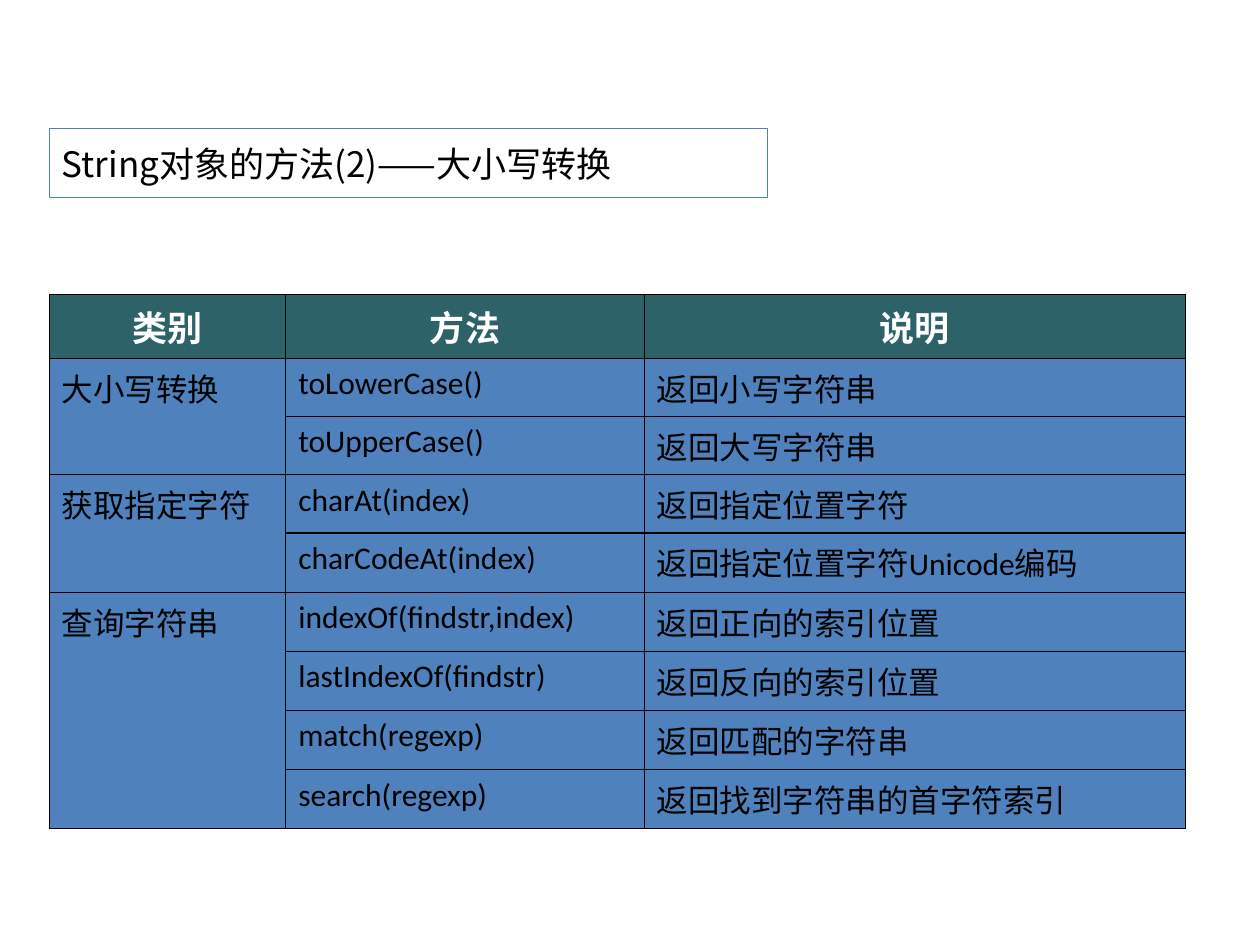
import pptx
import pptx.dml.color
import pptx.enum.text
import pptx.oxml
import pptx.oxml.ns
import pptx.util
from pptx.util import Inches

CJK = "Noto Sans CJK SC"
LATIN = "Calibri"
BLUE = "4F81BD"
TEAL = "2D6269"
BLACK = "000000"
WHITE = "FFFFFF"

COLUMNS = [1.88, 2.85, 4.3]
ROWS = [0.5] + [0.46] * 3 + [0.47] * 5
HEADERS = ["类别", "方法", "说明"]
GROUPS = [
    ("大小写转换", [
        ("toLowerCase()", ["返回小写字符串"]),
        ("toUpperCase()", ["返回大写字符串"]),
    ]),
    ("获取指定字符", [
        ("charAt(index)", ["返回指定位置字符"]),
        ("charCodeAt(index)", ["返回指定位置字符", "Unicode", "编码"]),
    ]),
    ("查询字符串", [
        ("indexOf(findstr,index)", ["返回正向的索引位置"]),
        ("lastIndexOf(findstr)", ["返回反向的索引位置"]),
        ("match(regexp)", ["返回匹配的字符串"]),
        ("search(regexp)", ["返回找到字符串的首字符索引"]),
    ]),
]


def rgb(value):
    return pptx.dml.color.RGBColor.from_string(value)


def paint(target, color):
    target.fill.solid()
    target.fill.fore_color.rgb = rgb(color)


def add_run(p, text, size, color, bold=False):
    r = p.add_run()
    r.text = text
    font = LATIN if text.isascii() else CJK
    r.font.name = font
    r.font.size = pptx.util.Pt(size)
    r.font.bold = bold
    r.font.color.rgb = rgb(color)
    ea = pptx.oxml.parse_xml(
        f'<a:ea {pptx.oxml.ns.nsdecls("a")} typeface="{font}"/>')
    r.font._element.find(pptx.oxml.ns.qn("a:latin")).addnext(ea)


def add_borders(cell):
    tc_pr = cell._tc.get_or_add_tcPr()
    for side in ("lnL", "lnR", "lnT", "lnB"):
        tc_pr.append(pptx.oxml.parse_xml(
            f'<a:{side} {pptx.oxml.ns.nsdecls("a")} w="9525"><a:solidFill>'
            f'<a:srgbClr val="{BLACK}"/></a:solidFill></a:{side}>'))


def fill_cell(cell, texts, header=False):
    p = cell.text_frame.paragraphs[0]
    if header:
        p.alignment = pptx.enum.text.PP_ALIGN.CENTER
    p.space_before = pptx.util.Pt(5 if header else 4.5)
    for text in texts:
        add_run(p, text, 20 if header else 18, WHITE if header else BLACK, header)


def place_title(s, left, top, width, height):
    sp = s.shapes.title
    sp.left, sp.top, sp.width, sp.height = left, top, width, height
    paint(sp, WHITE)
    sp.line.color.rgb = rgb(BLUE)
    sp.line.width = pptx.util.Pt(0.75)
    tf = sp.text_frame
    tf.word_wrap = True
    tf.auto_size = pptx.enum.text.MSO_AUTO_SIZE.NONE
    tf.vertical_anchor = pptx.enum.text.MSO_ANCHOR.MIDDLE
    p = tf.paragraphs[0]
    p.alignment = pptx.enum.text.PP_ALIGN.LEFT
    add_run(p, "String对象的方法(2)——大小写转换", 20, BLACK)


def place_table(s, left, top, width, height):
    table = s.shapes.add_table(
        len(ROWS), len(COLUMNS), left, top, width, height).table
    for column, share in zip(table.columns, COLUMNS):
        column.width = int(width * share / sum(COLUMNS))
    for row, share in zip(table.rows, ROWS):
        row.height = int(height * share / sum(ROWS))
    for i, row in enumerate(table.rows):
        for cell in row.cells:
            add_borders(cell)
            paint(cell, BLUE if i else TEAL)

    for j, text in enumerate(HEADERS):
        fill_cell(table.cell(0, j), [text], header=True)
    first = 1
    for category, methods in GROUPS:
        last = first + len(methods) - 1
        table.cell(first, 0).merge(table.cell(last, 0))
        fill_cell(table.cell(first, 0), [category])
        for i, (method, description) in enumerate(methods, first):
            fill_cell(table.cell(i, 1), [method])
            fill_cell(table.cell(i, 2), description)
        first = last + 1


def main():
    prs = pptx.Presentation()
    prs.slide_width, prs.slide_height = Inches(10), Inches(7.5)
    s = prs.slides.add_slide(prs.slide_layouts.get_by_name("Title Only"))
    place_title(s, Inches(0.39), Inches(1.02), Inches(5.7), Inches(0.55))
    place_table(s, Inches(0.39), Inches(2.34), Inches(9.02), Inches(4.23))
    prs.save("out.pptx")


if __name__ == "__main__":
    main()
